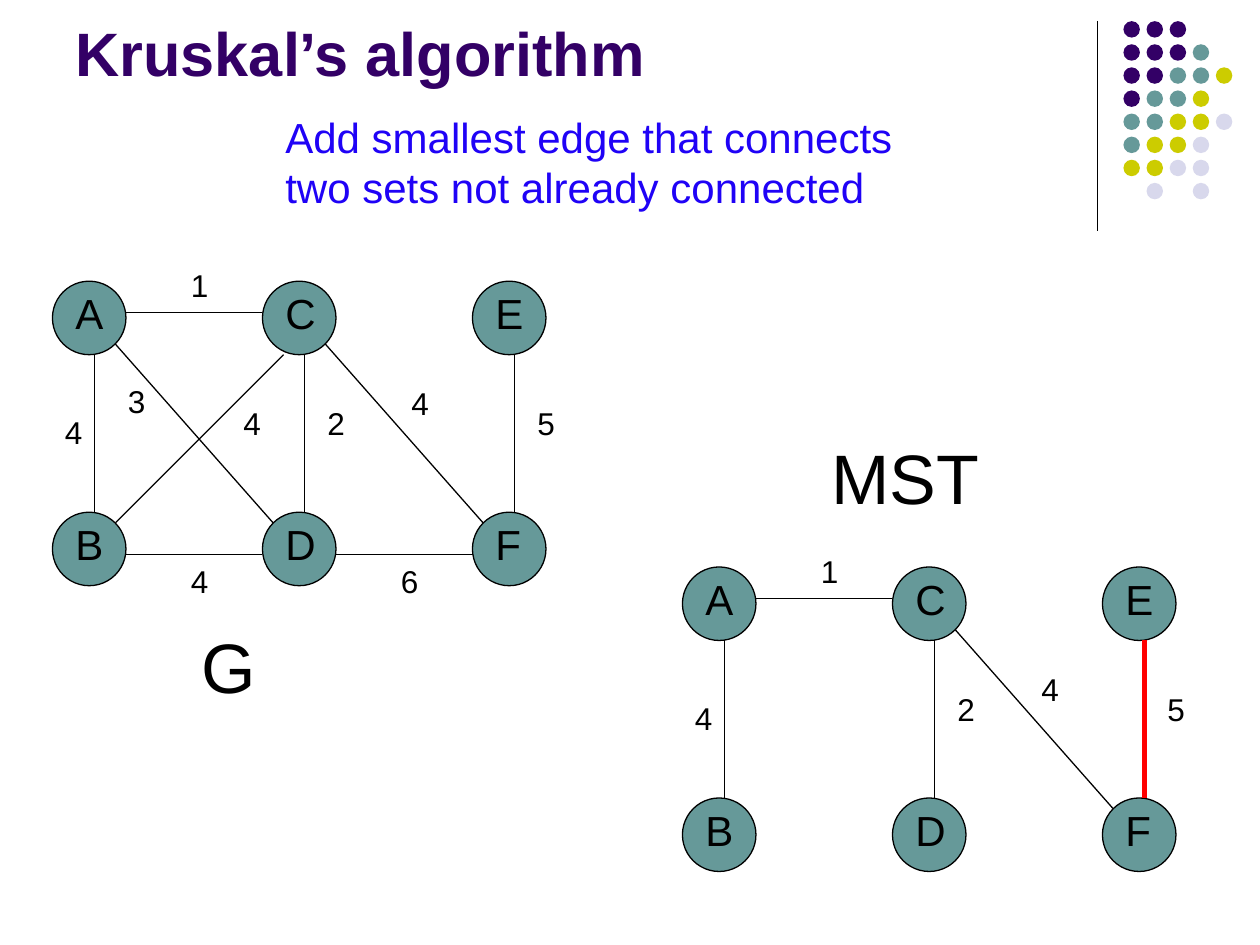
from pptx import Presentation
from pptx.dml.color import RGBColor
from pptx.enum.shapes import MSO_SHAPE, MSO_CONNECTOR
from pptx.enum.text import MSO_ANCHOR
from pptx.util import Pt
from lxml.etree import SubElement

# Content: text, left, top, width, height, format
heads = [
    ("Kruskal’s algorithm", 36, 9.4, 594, 44.6,
     dict(size=35, color="330066", bold=True, anchor=MSO_ANCHOR.BOTTOM)),
    ("Add smallest edge that connects two sets not already connected",
     156, 60, 366, 65, dict(size=24, color="1F02F6")),
    ("G", 108, 352.8, 60, 55.4, dict(size=40)),
    ("MST", 468, 244.8, 150, 55.4, dict(size=40)),
]

# Node name: column, row
nodes = {"A": (0, 0), "B": (0, 1), "C": (1, 0),
         "D": (1, 1), "E": (2, 0), "F": (2, 1)}

# Edge: start, end, weight and label place, from the graph's corner
edges = {
    "AC": (42, 18, 120, 18, "1", 72, -12),
    "AB": (24, 132, 24, 42, "4", 0, 72),
    "CD": (144, 132, 144, 42, "2", 150, 66.7),
    "CF": (156, 36, 246, 138, "4", 198, 55.2),
    "EF": (264, 132, 264, 42, "5", 270, 66.7),
    "AD": (36, 36, 126, 138, "3", 36, 53.8),
    "BC": (36, 138, 132, 42, "4", 102, 66.7),
    "BD": (42, 156, 120, 156, "4", 72, 156.7),
    "DF": (162, 156, 240, 156, "6", 192, 156.7),
}

# Graph: left, top, edges, newest edge
graphs = [
    (30, 160.7, list(edges), None),
    (390, 324, ["AC", "AB", "CD", "CF", "EF"], "EF"),
]

# Dot grid, one letter per colour
dots = ["PPP", "PPPT", "PPTTY", "PTTY", "TTYYL", "TYYL", "YYLL", " L L"]
hues = {"P": "330066", "T": "669999", "Y": "CCCC00", "L": "D8D8EC"}

deck = Presentation()
deck.slide_width, deck.slide_height = Pt(720), Pt(540)
slide = deck.slides.add_slide(deck.slide_layouts[6])
shapes = slide.shapes


def rgb(code):
    return RGBColor.from_string(code)


def write(text, x, y, w, h, size=18, color="000000", bold=False,
          anchor=MSO_ANCHOR.TOP):
    frame = shapes.add_textbox(Pt(x), Pt(y), Pt(w), Pt(h)).text_frame
    frame.word_wrap = True
    frame.vertical_anchor = anchor
    run = frame.paragraphs[0].add_run()
    run.text = text
    font = run.font
    font.name, font.size, font.bold = "Arial", Pt(size), bold
    font.color.rgb = rgb(color)


def disc(x, y, size, fill, edge=None):
    oval = shapes.add_shape(MSO_SHAPE.OVAL, Pt(x), Pt(y), Pt(size), Pt(size))
    oval.shadow.inherit = False
    oval.fill.solid()
    oval.fill.fore_color.rgb = rgb(fill)
    if edge:
        oval.line.color.rgb = rgb(edge)
        oval.line.width = Pt(0.74)
    else:
        oval.line.fill.background()


def rule(x1, y1, x2, y2, color="000000", width=0.74):
    line = shapes.add_connector(MSO_CONNECTOR.STRAIGHT,
                                Pt(x1), Pt(y1), Pt(x2), Pt(y2))
    line.line.color.rgb = rgb(color)
    line.line.width = Pt(width)
    props = line._element.spPr
    SubElement(props, props.tag.split("}")[0]
               .replace("presentationml", "drawingml") .replace(
                   "2006/main", "2006/main") + "}effectLst")


# Corner ornament
rule(627, 12, 627, 132)
for row, marks in enumerate(dots):
    for col, mark in enumerate(marks):
        if mark in hues:
            disc(642 + 13.2 * col, 12.1 + 13.2 * row, 9.4, hues[mark])

# Graphs
for left, top, names, new in graphs:
    for name, (col, row) in nodes.items():
        x, y = left + 120 * col, top + 132 * row
        disc(x, y, 42, "669999", "000000")
        write(name, x + 6, y, 36, 36, size=24)
    for name in names:
        x1, y1, x2, y2, cost, x, y = edges[name]
        style = dict(color="FF0000", width=3) if name == new else {}
        rule(left + x1, top + y1, left + x2, top + y2, **style)
        write(cost, left + x, top + y, 42, 28.8)

# Title, note and graph names
for text, x, y, w, h, style in heads:
    write(text, x, y, w, h, **style)

deck.save("out.pptx")
